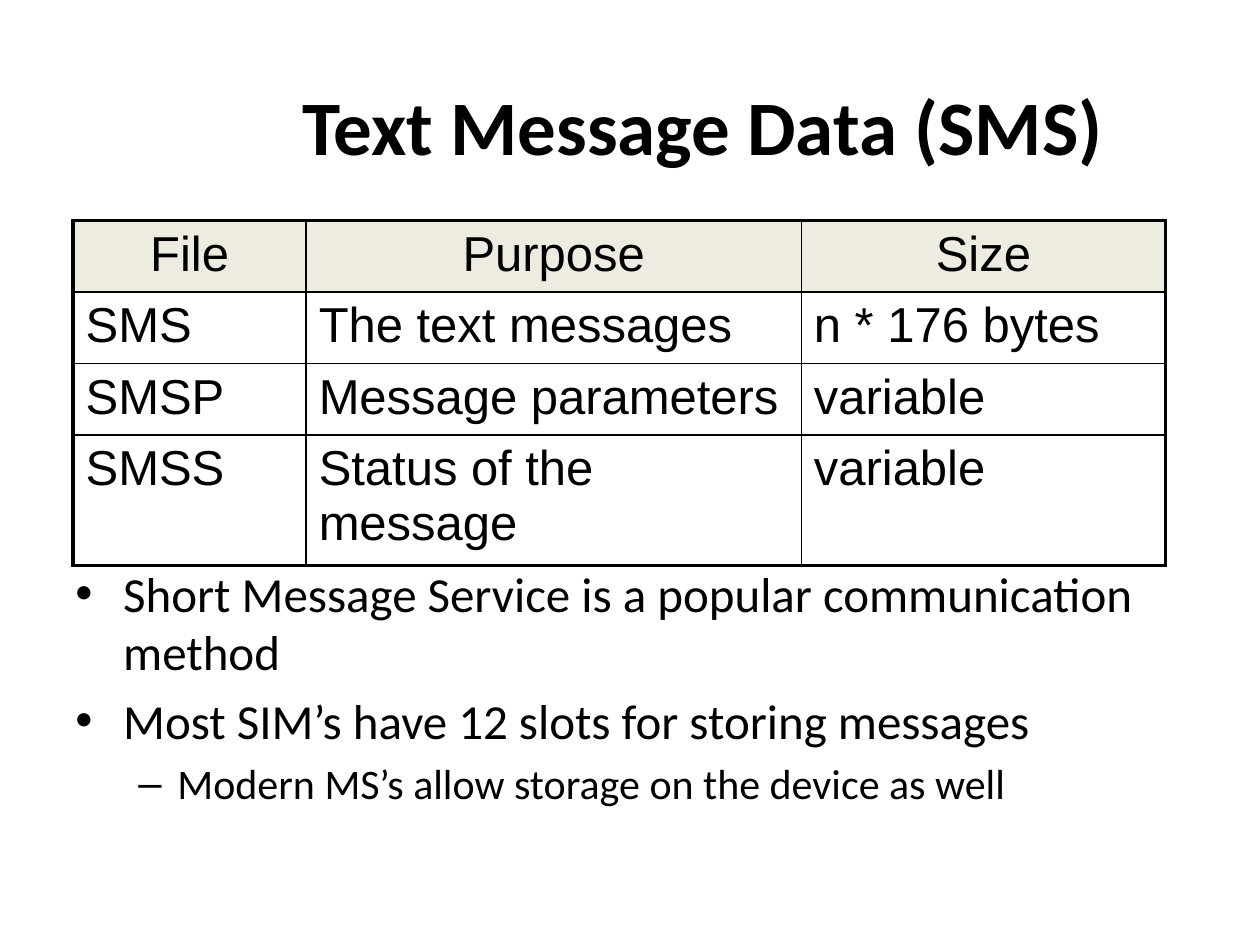
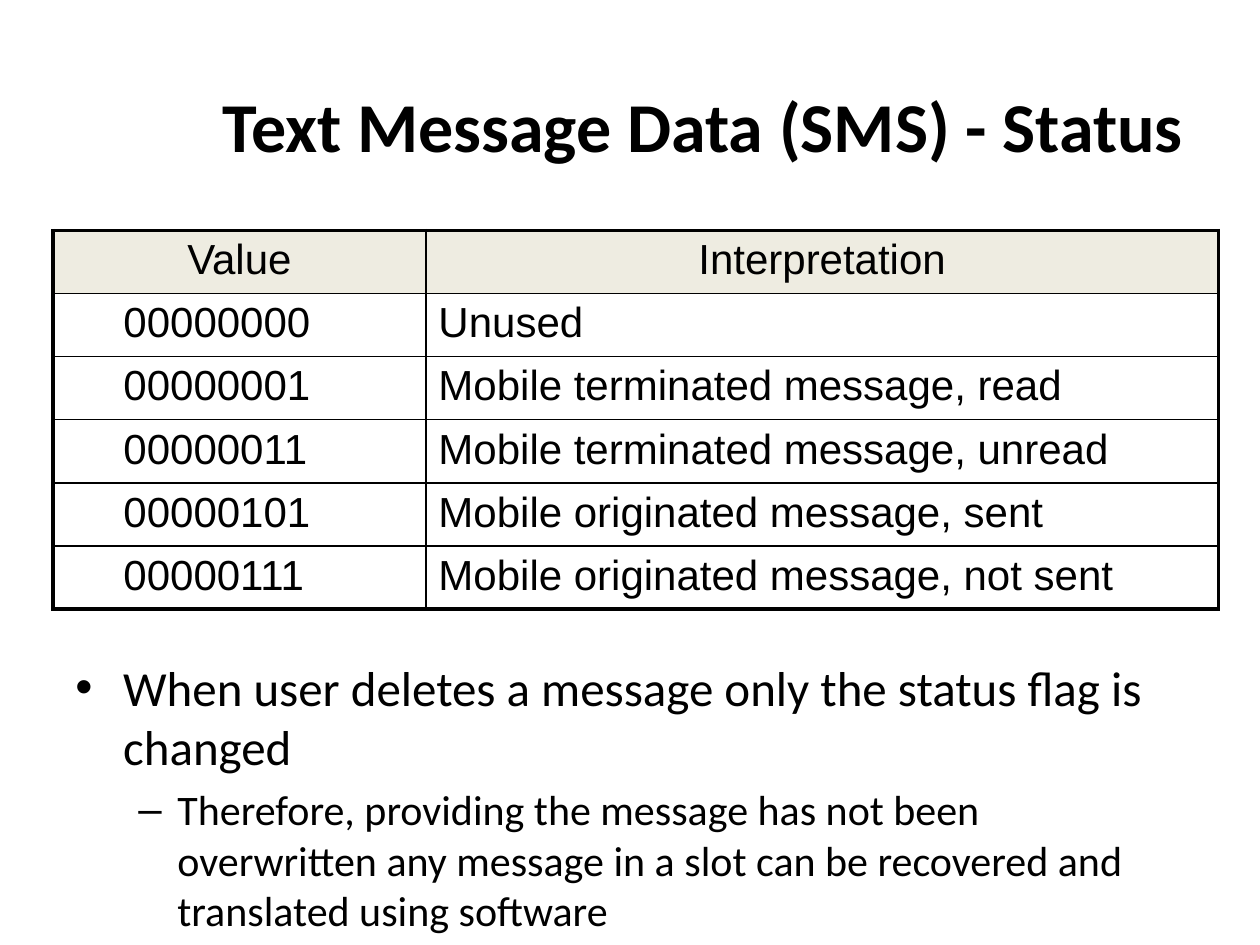
from lxml import etree
from pptx import Presentation
from pptx import util as u
from pptx.dml.color import RGBColor
from pptx.enum import text as t
from pptx.oxml import ns

WIDE, HIGH = 10, 7.5
INK, HEAD = "000000", "EEECE1"
THICK, THIN = 2.25, 1
TITLE = (1.33, 0.33, 8.5, 1.32)
# bullet mark, text size, left indent, hanging indent
LEVELS = [("•", 28, 0.38, 0.38), ("–", 24, 0.81, 0.31)]

SLIDES = [
    {
        "title": ("Text Message Data (SMS)", 44),
        "table": {
            "at": (0.58, 1.75), "size": 28, "pad": 0.1,
            "cols": [1.85, 3.93, 2.89],
            "rows": [0.53, 0.53, 0.53, 0.97],
            "cells": [
                ("File", "Purpose", "Size"),
                ("SMS", "The text messages", "n * 176 bytes"),
                ("SMSP", "Message parameters", "variable"),
                ("SMSS", "Status of the message", "variable"),
            ],
        },
        "body": (0.5, 4.42, 9.17, 2.58),
        "points": [
            (0, "Short Message Service is a popular communication method"),
            (0, "Most SIM’s have 12 slots for storing messages"),
            (1, "Modern MS’s allow storage on the device as well"),
        ],
    },
    {
        "title": ("Text Message Data (SMS) - Status", 40),
        "table": {
            "at": (0.42, 1.83), "size": 24, "pad": 0.56,
            "cols": [2.96, 6.29],
            "rows": [0.47] * 6,
            "cells": [
                ("Value", "Interpretation"),
                ("00000000", "Unused"),
                ("00000001", "Mobile terminated message, read"),
                ("00000011", "Mobile terminated message, unread"),
                ("00000101", "Mobile originated message, sent"),
                ("00000111", "Mobile originated message, not sent"),
            ],
        },
        "body": (0.5, 5.17, 9, 2.33),
        "points": [
            (0, "When user deletes a message only the status flag is changed"),
            (1, "Therefore, providing the message has not been overwritten any "
                "message in a slot can be recovered and translated using "
                "software"),
        ],
    },
]


def rgb(code):
    return RGBColor.from_string(code)


def style(para, size, name, bold=False):
    look = {"size": u.Pt(size), "name": name, "bold": bold}
    for key, val in look.items():
        setattr(para.font, key, val)
    para.font.color.rgb = rgb(INK)


def add_box(slide, at, anchor):
    frame = slide.shapes.add_textbox(*map(u.Inches, at)).text_frame
    frame.word_wrap = True
    frame.vertical_anchor = anchor
    return frame


def add_title(slide, words, size):
    para = add_box(slide, TITLE, t.MSO_ANCHOR.MIDDLE).paragraphs[0]
    para.text = words
    para.alignment = t.PP_ALIGN.CENTER
    style(para, size, "Calibri", True)


def add_points(slide, at, points):
    frame = add_box(slide, at, t.MSO_ANCHOR.TOP)
    for i, (level, words) in enumerate(points):
        para = frame.add_paragraph() if i else frame.paragraphs[0]
        mark, size, left, hang = LEVELS[level]
        para.text = words
        para.level = level
        props = para._p.get_or_add_pPr()
        props.set("marL", str(u.Inches(left)))
        props.set("indent", str(-u.Inches(hang)))
        etree.SubElement(props, ns.qn("a:buFont"), typeface="Arial")
        etree.SubElement(props, ns.qn("a:buChar"), char=mark)
        if i:
            para.space_before = u.Pt(size * 0.2)
        style(para, size, "Calibri")


def add_edges(cell, outer):
    """Rule all four sides of a cell, thick where it meets the table's rim."""
    props = cell._tc.get_or_add_tcPr()
    for side, rim in outer.items():
        line = etree.SubElement(props, ns.qn("a:ln" + side),
                                w=str(u.Pt(THICK if rim else THIN)))
        fill = etree.SubElement(line, ns.qn("a:solidFill"))
        etree.SubElement(fill, ns.qn("a:srgbClr"), val=INK)


def add_grid(slide, at, size, pad, cols, rows, cells):
    area = (*at, sum(cols), sum(rows))
    grid = slide.shapes.add_table(len(rows), len(cols),
                                  *map(u.Inches, area)).table
    for col, wide in zip(grid.columns, cols):
        col.width = u.Inches(wide)
    for row, high in zip(grid.rows, rows):
        row.height = u.Inches(high)
    for r, line in enumerate(cells):
        for c, words in enumerate(line):
            cell = grid.cell(r, c)
            add_edges(cell, {"L": c == 0, "R": c == len(cols) - 1,
                             "T": r == 0, "B": r == len(rows) - 1})
            para = cell.text_frame.paragraphs[0]
            para.text = words
            style(para, size, "Arial")
            if r == 0:
                para.alignment = t.PP_ALIGN.CENTER
                cell.fill.solid()
                cell.fill.fore_color.rgb = rgb(HEAD)
            else:
                cell.fill.background()
                if c == 0:
                    cell.margin_left = u.Inches(pad)


def main():
    deck = Presentation()
    deck.slide_width, deck.slide_height = u.Inches(WIDE), u.Inches(HIGH)
    for page in SLIDES:
        slide = deck.slides.add_slide(deck.slide_layouts[6])
        add_title(slide, *page["title"])
        add_points(slide, page["body"], page["points"])
        add_grid(slide, **page["table"])
    deck.save("out.pptx")


if __name__ == "__main__":
    main()
